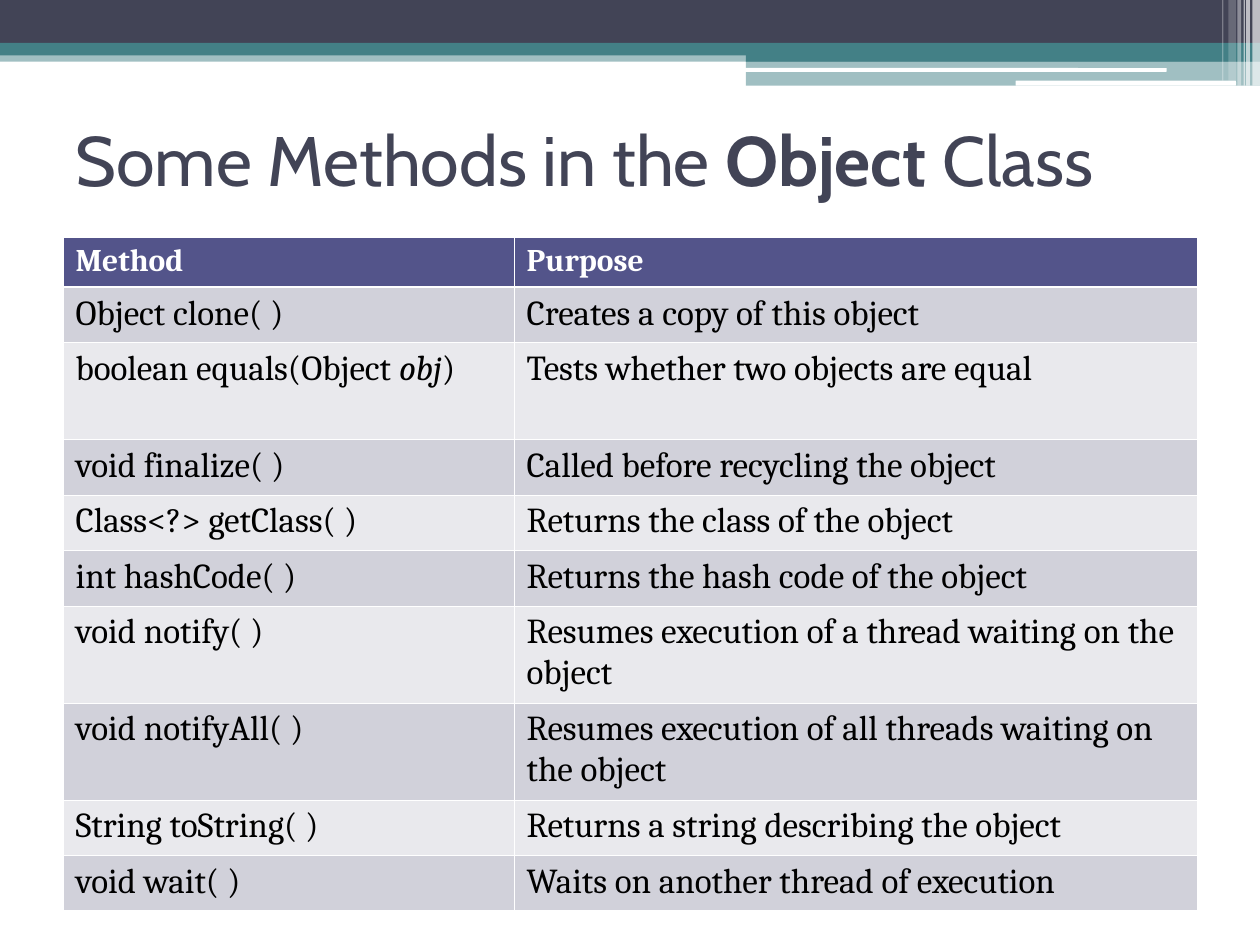
from dataclasses import dataclass
from lxml.etree import SubElement
from pptx import Presentation
from pptx.dml.color import RGBColor
from pptx.enum.shapes import MSO_SHAPE
from pptx.enum.text import MSO_ANCHOR, MSO_AUTO_SIZE, PP_ALIGN
from pptx.oxml.ns import qn
from pptx.util import Inches, Pt


@dataclass(frozen=True)
class Theme:
    white: str = "FFFFFF"
    black: str = "000000"
    navy: str = "424456"
    teal: str = "438086"
    header: str = "53548A"
    bands: tuple = ("D1D1DA", "E9E9ED")
    title_font: str = "Cabin"
    body_font: str = "Cambria"
    title_size: int = 40
    header_size: int = 18
    body_size: int = 20
    thin_line: float = 0.45
    thick_line: float = 1.47


THEME = Theme()

TITLE = [("Some Methods in the ", ""), ("Object", "bold"), (" Class", "")]
HEADER = ("Method", "Purpose")
SHORT_ROW, TALL_ROW, HEADER_ROW = 0.44, 0.77, 0.4
METHODS = [
    ([("Object clone( )", "")], "Creates a copy of this object", SHORT_ROW),
    ([("boolean equals(Object ", ""), ("obj", "italic"), (")", "")],
     "Tests whether two objects are equal", TALL_ROW),
    ([("void finalize( )", "")], "Called before recycling the object", SHORT_ROW),
    ([("Class<?> getClass( )", "")], "Returns the class of the object", SHORT_ROW),
    ([("int hashCode( )", "")], "Returns the hash code of the object", SHORT_ROW),
    ([("void notify( )", "")],
     "Resumes execution of a thread waiting on the object", TALL_ROW),
    ([("void notifyAll( )", "")],
     "Resumes execution of all threads waiting on the object", TALL_ROW),
    ([("String toString( )", "")], "Returns a string describing the object", SHORT_ROW),
    ([("void wait( )", "")], "Waits on another thread of execution", SHORT_ROW),
]
COLUMN_WIDTHS = (3.58, 5.42)

BANDS = [
    ((0, 0.4, 10, 0.09), THEME.teal, 50),
    ((0, 0, 10, 0.34), THEME.navy, 100),
    ((0, 0.34, 10, 0.1), THEME.teal, 100),
    ((5.92, 0.39, 4.08, 0.1), THEME.teal, 100),
    ((5.92, 0.48, 4.08, 0.2), THEME.teal, 50),
]
HIGHLIGHTS = [(5.91, 0.54, 3.35, 0.03), (8.06, 0.64, 1.75, 0.04)]
STRIPES = [
    (9.94, 0.06, 0.68, 65),
    (9.89, 0.03, 0.68, 65),
    (9.87, 0.01, 0.68, 60),
    (9.82, 0.03, 0.68, 40),
    (9.75, 0.06, 0.64, 20),
    (9.7, 0.01, 0.64, 30),
]


def color(value):
    return RGBColor.from_string(value)


def add_block(page, bounds, fill, opacity=100, kind=MSO_SHAPE.RECTANGLE):
    block = page.shapes.add_shape(kind, *(Inches(value) for value in bounds))
    block.shadow.inherit = False
    block.line.fill.background()
    block.fill.solid()
    block.fill.fore_color.rgb = color(fill)
    if opacity < 100:
        tint = block.fill._xPr.find(qn("a:solidFill"))[0]
        SubElement(tint, qn("a:alpha"), val=str(opacity * 1000))
    return block


def add_spans(paragraph, spans, font, size, text_color):
    for text, style in spans:
        span = paragraph.add_run()
        span.text = text
        span.font.name = font
        span.font.size = Pt(size)
        span.font.color.rgb = color(text_color)
        span.font.bold = style == "bold"
        span.font.italic = style == "italic"


def set_borders(cell, top, bottom):
    properties = cell._tc.get_or_add_tcPr()
    widths = {"L": THEME.thin_line, "R": THEME.thin_line, "T": top, "B": bottom}
    for side, width in widths.items():
        line = SubElement(properties, qn(f"a:ln{side}"), w=str(Pt(width)))
        SubElement(SubElement(line, qn("a:solidFill")), qn("a:srgbClr"), val=THEME.white)


def add_decoration(page):
    for bounds, fill, opacity in BANDS:
        add_block(page, bounds, fill, opacity)
    for bounds in HIGHLIGHTS:
        add_block(page, bounds, THEME.white, kind=MSO_SHAPE.ROUNDED_RECTANGLE)
    for left, width, height, opacity in STRIPES:
        add_block(page, (left, 0, width, height), THEME.white, opacity)


def format_title(page):
    box = page.shapes.title
    box.left, box.top, box.width, box.height = map(Inches, (0.5, 0.67, 9, 1.17))
    frame = box.text_frame
    frame.auto_size = MSO_AUTO_SIZE.NONE
    frame.word_wrap = True
    frame.vertical_anchor = MSO_ANCHOR.MIDDLE
    paragraph = frame.paragraphs[0]
    paragraph.alignment = PP_ALIGN.LEFT
    add_spans(paragraph, TITLE, THEME.title_font, THEME.title_size, THEME.navy)


def add_methods_table(page):
    rows = [([(HEADER[0], "bold")], [(HEADER[1], "bold")], HEADER_ROW)]
    rows += [(method, [(purpose, "")], height) for method, purpose, height in METHODS]
    total_height = sum(height for *_, height in rows)
    table = page.shapes.add_table(
        len(rows), len(COLUMN_WIDTHS), Inches(0.5), Inches(1.88),
        Inches(sum(COLUMN_WIDTHS)), Inches(total_height)).table
    for column, width in zip(table.columns, COLUMN_WIDTHS):
        column.width = Inches(width)
    for index, (*contents, height) in enumerate(rows):
        table.rows[index].height = Inches(height)
        is_header = index == 0
        fill = THEME.header if is_header else THEME.bands[(index - 1) % 2]
        size = THEME.header_size if is_header else THEME.body_size
        text_color = THEME.white if is_header else THEME.black
        top = THEME.thick_line if index == 1 else THEME.thin_line
        bottom = THEME.thick_line if is_header else THEME.thin_line
        for cell, spans in zip(table.rows[index].cells, contents):
            set_borders(cell, top, bottom)
            cell.fill.solid()
            cell.fill.fore_color.rgb = color(fill)
            add_spans(cell.text_frame.paragraphs[0], spans,
                      THEME.body_font, size, text_color)


def main():
    deck = Presentation()
    deck.slide_width, deck.slide_height = Inches(10), Inches(7.5)
    page = deck.slides.add_slide(deck.slide_layouts[5])
    add_decoration(page)
    format_title(page)
    add_methods_table(page)
    deck.save("out.pptx")


if __name__ == "__main__":
    main()
